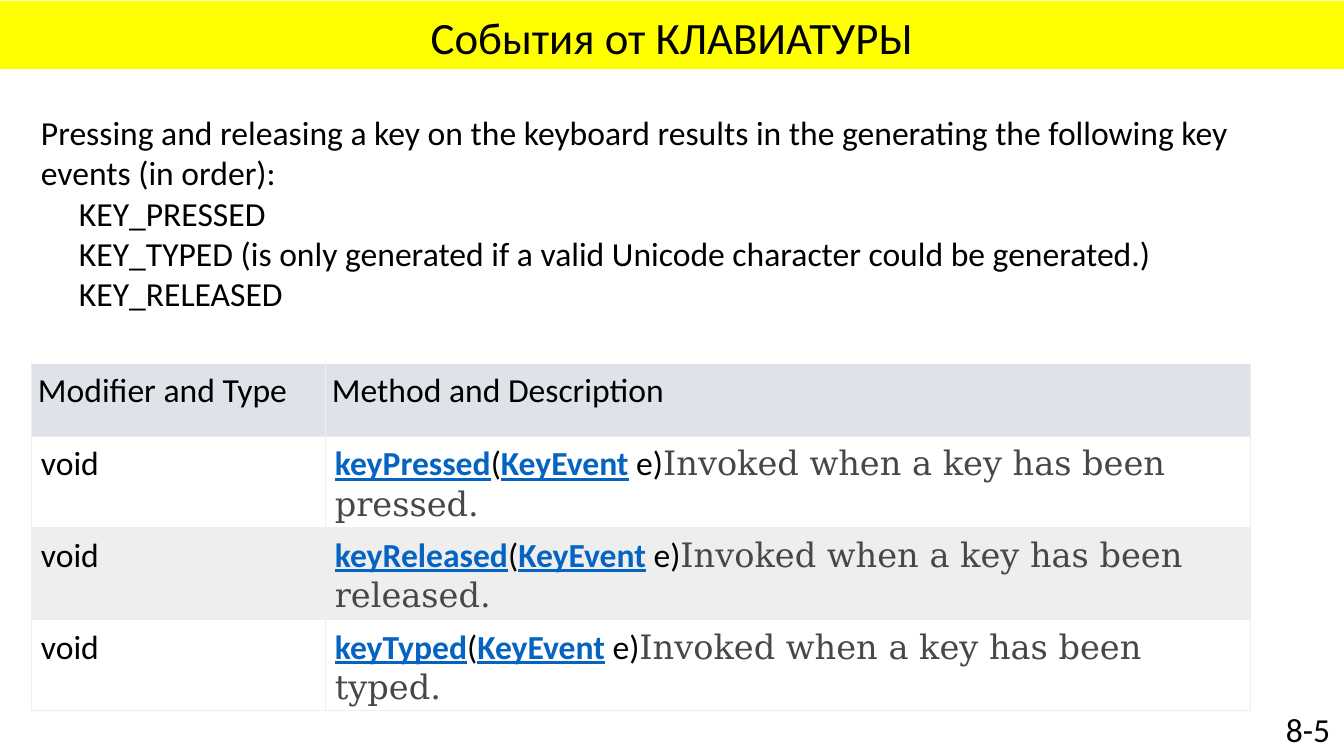
from typing import NamedTuple

from lxml.etree import SubElement as Sub
from pptx import Presentation
from pptx.dml.color import RGBColor
from pptx.enum.text import MSO_ANCHOR as Anchor, MSO_AUTO_SIZE as Fit, PP_ALIGN as Align
from pptx.oxml import parse_xml
from pptx.oxml.ns import nsdecls, qn
from pptx.util import Emu, Pt

SCALE = 914400 / 100.8
SANS, SERIF = "Calibri", "DejaVu Serif"
BLACK, BLUE, GREY = "000000", "0563C1", "474747"
HEAD, WHITE, BAND, EDGE = "DEE3E9", "FFFFFF", "EEEEEF", "EEEEEE"


class Box(NamedTuple):
    left: int
    top: int
    width: int
    height: int


class Line(NamedTuple):
    text: str
    indent: int = 0


class Span(NamedTuple):
    text: str
    color: str = BLACK
    link: bool = False
    face: str = SANS


class Row(NamedTuple):
    name: str
    action: str
    fill: str


def px(value: int) -> Emu:
    return Emu(round(value * SCALE))


def paint(target, color: str) -> None:
    target.solid()
    target.fore_color.rgb = RGBColor.from_string(color)


def style(font, size: int = 24, color: str = BLACK, face: str = SANS) -> None:
    font.size, font.name = Pt(size), face
    paint(font.fill, color)


def add_text(box: Box, lines: list[Line], align: Align) -> None:
    frame = slide.shapes.add_textbox(*map(px, box)).text_frame
    frame.word_wrap = True
    for i, line in enumerate(lines):
        para = frame.add_paragraph() if i else frame.paragraphs[0]
        para.text, para.alignment = line.text, align
        style(para.font)
        if line.indent:
            para._p.get_or_add_pPr().set("marL", str(px(line.indent)))


def add_edges(cell, sides: str) -> None:
    props = cell._tc.get_or_add_tcPr()
    for i, side in enumerate(sides):
        edge = parse_xml(f'<a:ln{side} {nsdecls("a")} w="9525"/>')
        Sub(Sub(edge, qn("a:solidFill")), qn("a:srgbClr"), val=EDGE)
        props.insert(i, edge)


def fill_cell(cell, spans: list[Span], color: str, inset: int, sides: str = "LRTB") -> None:
    paint(cell.fill, color)
    cell.margin_left, cell.margin_top = px(inset), px(8)
    cell.margin_right = cell.margin_bottom = px(3)
    para = cell.text_frame.paragraphs[0]
    style(para.font)
    for span in spans:
        run = para.add_run()
        run.text = span.text
        style(run.font, color=span.color, face=span.face)
        run.font.bold = run.font.underline = span.link
    add_edges(cell, sides)


deck = Presentation()
deck.slide_width, deck.slide_height = px(1344), px(756)
slide = deck.slides.add_slide(deck.slide_layouts[5])

title = slide.shapes.title
title.left, title.top, title.width, title.height = map(px, Box(0, 1, 1344, 68))
paint(title.fill, "FFFF00")
frame = title.text_frame
frame.text = "События от КЛАВИАТУРЫ"
frame.auto_size, frame.vertical_anchor = Fit.NONE, Anchor.BOTTOM
para = frame.paragraphs[0]
para.alignment, para.line_spacing = Align.CENTER, 0.9
style(para.font, 32)

add_text(Box(1162, 704, 178, 50), [Line("8-5")], Align.RIGHT)
add_text(Box(31, 107, 1281, 254), [
    Line("Pressing and releasing a key on the keyboard results in the generating "
         "the following key events (in order):"),
    Line("KEY_PRESSED", 38),
    Line("KEY_TYPED (is only generated if a valid Unicode character could be generated.)", 38),
    Line("KEY_RELEASED", 38),
], Align.LEFT)

rows = [
    Row("keyPressed", "pressed", WHITE),
    Row("keyReleased", "released", BAND),
    Row("keyTyped", "typed", WHITE),
]
table = slide.shapes.add_table(len(rows) + 1, 2, *map(px, Box(31, 363, 1220, 346))).table
table.first_row = table.horz_banding = False
for col, width in zip(table.columns, (294, 926)):
    col.width = px(width)
for line, height in zip(table.rows, (73, 91, 91, 91)):
    line.height = px(height)

for col, text in enumerate(("Modifier and Type", "Method and Description")):
    fill_cell(table.cell(0, col), [Span(text)], HEAD, 7, "LRB")
for i, row in enumerate(rows, 1):
    fill_cell(table.cell(i, 0), [Span("void")], row.fill, 10)
    fill_cell(table.cell(i, 1), [
        Span(row.name, BLUE, True),
        Span("("),
        Span("KeyEvent", BLUE, True),
        Span("\u00a0e)"),
        Span(f"Invoked when a key has been {row.action}.", GREY, face=SERIF),
    ], row.fill, 10)

deck.save("out.pptx")
